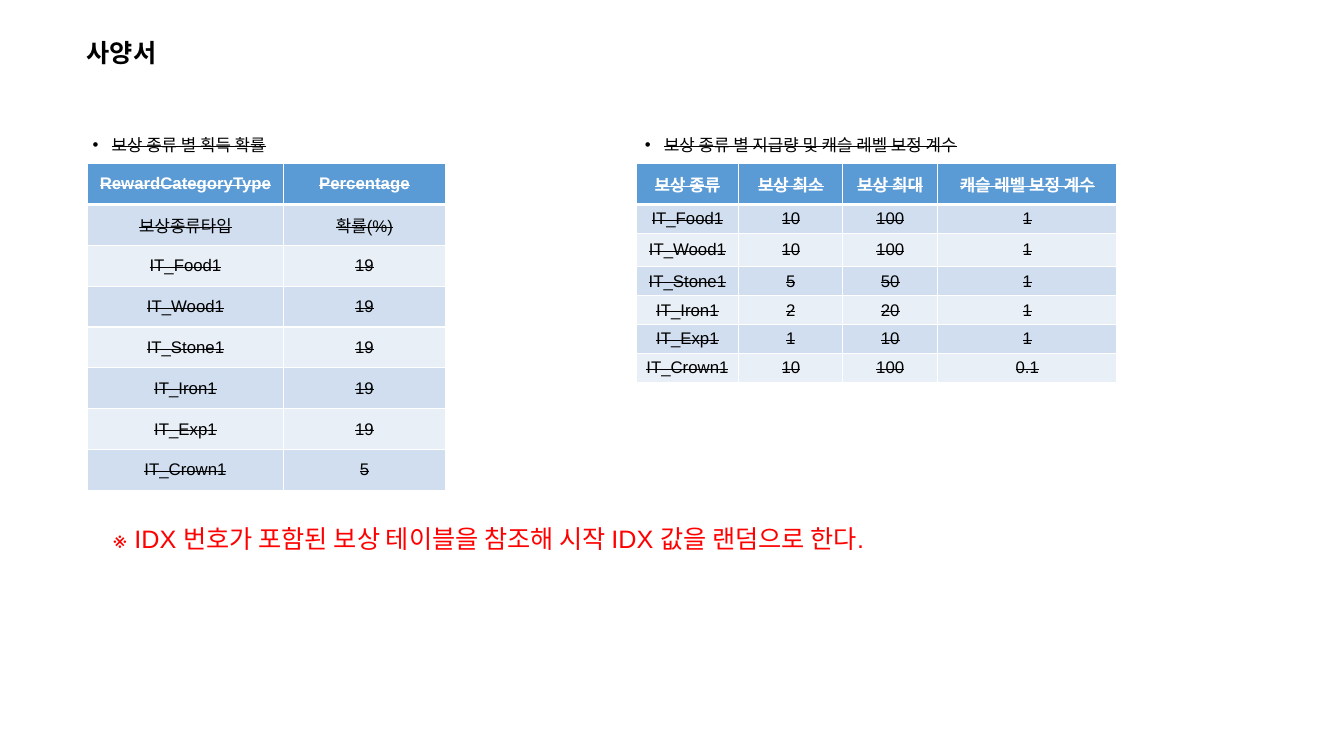
from lxml import etree
from pptx import Presentation
from pptx import util as u
from pptx.dml.color import RGBColor
from pptx.enum import text
from pptx.oxml import ns

BLACK = RGBColor(0x00, 0x00, 0x00)
WHITE = RGBColor(0xFF, 0xFF, 0xFF)
RED = RGBColor(0xFF, 0x00, 0x00)
HEADER_BLUE = RGBColor(0x5B, 0x9B, 0xD5)
BAND_DARK = RGBColor(0xD0, 0xDE, 0xEF)
BAND_LIGHT = RGBColor(0xE9, 0xEF, 0xF7)

REWARDS = ["IT_Food1", "IT_Wood1", "IT_Stone1", "IT_Iron1", "IT_Exp1", "IT_Crown1"]
CHANCES = ["19"] * 5 + ["5"]
MINIMUMS = ["10", "10", "5", "2", "1", "10"]
MAXIMUMS = ["100", "100", "50", "20", "10", "100"]
FACTORS = ["1"] * 5 + ["0.1"]

HEADING_TOP, TABLE_TOP = 3.02, 4.12


def place(box, left, top, width, height):
    for name, value in dict(left=left, top=top, width=width, height=height).items():
        setattr(box, name, u.Cm(value))


def write(para, words, size, color, bold=False, strike=False):
    span = para.add_run()
    span.text = words
    for name, value in dict(name="Arial", size=u.Pt(size), bold=bold).items():
        setattr(span.font, name, value)
    span.font.color.rgb = color
    if strike:
        span._r.get_or_add_rPr().set("strike", "sngStrike")


def set_frame(box, wrap):
    settings = dict(word_wrap=wrap, auto_size=text.MSO_AUTO_SIZE.NONE,
                    vertical_anchor=text.MSO_ANCHOR.TOP)
    for name, value in settings.items():
        setattr(box.text_frame, name, value)
    return box.text_frame.paragraphs[0]


def add_title(page, words):
    box = page.shapes.title
    place(box, 1.93, 0.81, 2.44, 1.02)
    para = set_frame(box, wrap=False)
    para.alignment = text.PP_ALIGN.LEFT
    write(para, words, 18, BLACK, bold=True)


def add_heading(box, left, words):
    place(box, left, HEADING_TOP, 10.41, 1.8)
    para = set_frame(box, wrap=True)
    for name, value in dict(level=1, line_spacing=1.5, space_before=u.Pt(0)).items():
        setattr(para, name, value)
    # Bullet and hanging indent
    props = para._p.get_or_add_pPr()
    props.set("marL", str(u.Cm(1.75)))
    props.set("indent", str(u.Cm(-0.48)))
    bullet_color = etree.SubElement(props, ns.qn("a:buClr"))
    etree.SubElement(bullet_color, ns.qn("a:srgbClr"), val=str(BLACK))
    etree.SubElement(props, ns.qn("a:buFont"), typeface="Arial")
    etree.SubElement(props, ns.qn("a:buChar"), char="•")
    write(para, words, 12, BLACK, strike=True)


def add_note(page, words):
    box = page.shapes.add_textbox(u.Cm(2.59), u.Cm(13.06), u.Cm(26.29), u.Cm(1.02))
    write(set_frame(box, wrap=True), words, 18, RED)


def set_borders(cell, top, bottom):
    props = cell._tc.get_or_add_tcPr()
    widths = dict(lnL=1, lnR=1, lnT=top, lnB=bottom)
    for index, (side, width) in enumerate(widths.items()):
        line = etree.Element(ns.qn("a:" + side), w=str(u.Pt(width)))
        fill = etree.SubElement(line, ns.qn("a:solidFill"))
        etree.SubElement(fill, ns.qn("a:srgbClr"), val=str(WHITE))
        props.insert(index, line)


def add_table(page, left, widths, heights, rows):
    table = page.shapes.add_table(len(rows), len(widths), u.Cm(left), u.Cm(TABLE_TOP),
                                  u.Cm(sum(widths)), u.Cm(sum(heights))).table
    for column, width in zip(table.columns, widths):
        column.width = u.Cm(width)
    for index, (row, height, values) in enumerate(zip(table.rows, heights, rows)):
        row.height = u.Cm(height)
        header = index == 0
        band = HEADER_BLUE if header else (BAND_LIGHT, BAND_DARK)[index % 2]
        for cell, value in zip(row.cells, values):
            cell.fill.solid()
            cell.fill.fore_color.rgb = band
            cell.vertical_anchor = text.MSO_ANCHOR.MIDDLE
            set_borders(cell, top=3 if index == 1 else 1, bottom=3 if header else 1)
            para = cell.text_frame.paragraphs[0]
            para.alignment = text.PP_ALIGN.CENTER
            write(para, value, 12, WHITE if header else BLACK, bold=header, strike=True)


def main():
    deck = Presentation()
    deck.slide_width, deck.slide_height = u.Cm(33.87), u.Cm(19.05)
    page = deck.slides.add_slide(deck.slide_layouts.get_by_name("Two Content"))
    add_title(page, "사양서")

    # Chance of each reward
    add_heading(page.placeholders[1], 0.81, "보상 종류 별 획득 확률")
    chance_rows = [("RewardCategoryType", "Percentage"), ("보상종류타입", "확률(%)"),
                   *zip(REWARDS, CHANCES)]
    add_table(page, 2.21, [4.93, 4.09], [1.03] * 8, chance_rows)

    # Amount of each reward
    add_heading(page.placeholders[2], 14.73, "보상 종류 별 지급량 및 캐슬 레벨 보정 계수")
    amount_rows = [("보상 종류", "보상 최소", "보상 최대", "캐슬 레벨 보정 계수"),
                   *zip(REWARDS, MINIMUMS, MAXIMUMS, FACTORS)]
    add_table(page, 16.03, [2.59, 2.62, 2.39, 4.52],
              [1.03, 0.73, 0.84] + [0.73] * 4, amount_rows)

    add_note(page, "※ IDX 번호가 포함된 보상 테이블을 참조해 시작 IDX 값을 랜덤으로 한다.")
    deck.save("out.pptx")


if __name__ == "__main__":
    main()
